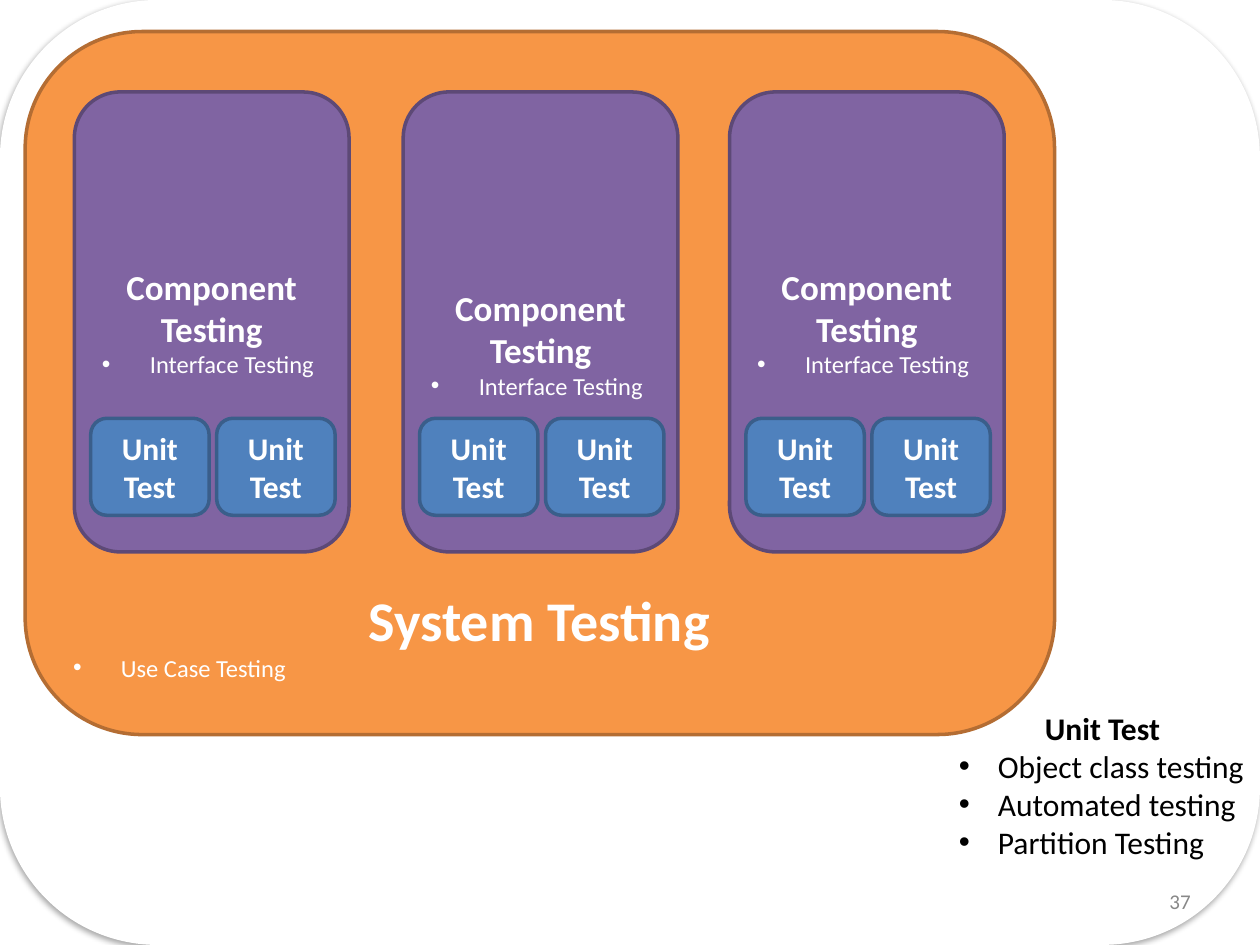
from lxml import etree
from pptx import Presentation
from pptx.dml.color import RGBColor
from pptx.enum.shapes import MSO_SHAPE
from pptx.enum.text import MSO_ANCHOR, PP_ALIGN
from pptx.oxml import parse_xml
from pptx.oxml.ns import nsdecls, qn
from pptx.util import Inches, Pt

ROUND = MSO_SHAPE.ROUNDED_RECTANGLE
TOP, MIDDLE = MSO_ANCHOR.TOP, MSO_ANCHOR.MIDDLE
LEFT, CENTER, RIGHT = PP_ALIGN.LEFT, PP_ALIGN.CENTER, PP_ALIGN.RIGHT
COLORS = {
    "white": "FFFFFF", "black": "000000", "gray": "888888",
    "system": "F79646", "system edge": "B46D33",
    "part": "8064A2", "part edge": "5D4976",
    "unit": "4F81BD", "unit edge": "3A5E8A",
}


def rgb(name):
    """Return the named colour."""
    return RGBColor.from_string(COLORS[name])


def add_panel(slide, x, y, w, h, color):
    """Add a rounded panel with its darker edge."""
    panel = slide.shapes.add_shape(ROUND, Inches(x), Inches(y), Inches(w), Inches(h))
    panel.shadow.inherit = False
    panel.fill.solid()
    panel.fill.fore_color.rgb = rgb(color)
    if color + " edge" in COLORS:
        panel.line.color.rgb = rgb(color + " edge")
        panel.line.width = Pt(2)
    else:
        panel.line.fill.background()
    return panel


def add_card(slide):
    """Add the white card with its soft shadow that fills the slide."""
    card = add_panel(slide, 0, 0, 10, 7.5, "white")
    effects = card._element.spPr.find(qn("a:effectLst"))
    effects.append(parse_xml(
        f'<a:outerShdw {nsdecls("a")} blurRad="{Pt(3)}" dist="{Pt(1.8)}" dir="5400000" rotWithShape="0">'
        '<a:srgbClr val="000000"><a:alpha val="35000"/></a:srgbClr></a:outerShdw>'))


def set_bullet(para, indent):
    """Give a paragraph a bullet with a hanging indent."""
    props = para._p.get_or_add_pPr()
    props.set("marL", str(Inches(indent)))
    props.set("indent", str(-Inches(indent)))
    font = etree.SubElement(props, qn("a:buFont"))
    font.set("typeface", "Arial")
    etree.SubElement(props, qn("a:buChar")).set("char", "•")


def write(frame, items, color="white", anchor=MIDDLE, wrap=True, inset=0.05):
    """Fill a text frame with (text, size, bold, alignment, indent) items."""
    frame.word_wrap = wrap
    frame.vertical_anchor = anchor
    frame.margin_left = frame.margin_right = Inches(inset)
    frame.margin_top = frame.margin_bottom = Inches(0.05)
    for i, (text, size, bold, align, indent) in enumerate(items):
        para = frame.add_paragraph() if i else frame.paragraphs[0]
        para.text = text
        para.alignment = align
        if indent:
            set_bullet(para, indent)
        para.font.name = "Calibri"
        para.font.size = Pt(size)
        para.font.bold = bold
        para.font.color.rgb = rgb(color)


def add_text(slide, x, y, w, h, items, **style):
    """Add a text box with the given items."""
    box = slide.shapes.add_textbox(Inches(x), Inches(y), Inches(w), Inches(h))
    write(box.text_frame, items, **style)


def add_part(slide, x, text_y):
    """Add a component panel with its title and two unit tests."""
    add_panel(slide, x, 0.73, 2.18, 3.65, "part")
    add_text(slide, x + 0.17, text_y, 1.84, 0.97, [
        ("Component Testing", 20, True, CENTER, 0),
        ("Interface Testing", 14, False, LEFT, 0.38)])
    for step in range(2):
        unit = add_panel(slide, x + 0.13 + step, 3.32, 0.94, 0.77, "unit")
        write(unit.text_frame, [("Unit Test", 18, True, CENTER, 0)], inset=0.1)


def main():
    """Build the slide and save it."""
    deck = Presentation()
    deck.slide_width, deck.slide_height = Inches(10), Inches(7.5)
    slide = deck.slides.add_slide(deck.slide_layouts[6])
    add_card(slide)
    add_text(slide, 9.22, 7.02, 0.28, 0.27, [("37", 12, False, RIGHT, 0)],
             color="gray", wrap=False)
    add_panel(slide, 0.2, 0.25, 8.17, 5.58, "system")
    add_text(slide, 0.53, 4.59, 7.5, 0.88, [
        ("System Testing", 32, True, CENTER, 0),
        ("Use Case Testing", 14, False, LEFT, 0.38)])
    for x, text_y in ((0.59, 2.07), (3.2, 2.24), (5.79, 2.07)):
        add_part(slide, x, text_y)
    kinds = ("Object class testing", "Automated testing", "Partition Testing")
    add_text(slide, 7.56, 5.58, 2.38, 1.32,
             [("Unit Test", 18, True, CENTER, 0)]
             + [(kind, 18, False, LEFT, 0.31) for kind in kinds],
             color="black", anchor=TOP, wrap=False)
    deck.save("out.pptx")


if __name__ == "__main__":
    main()
